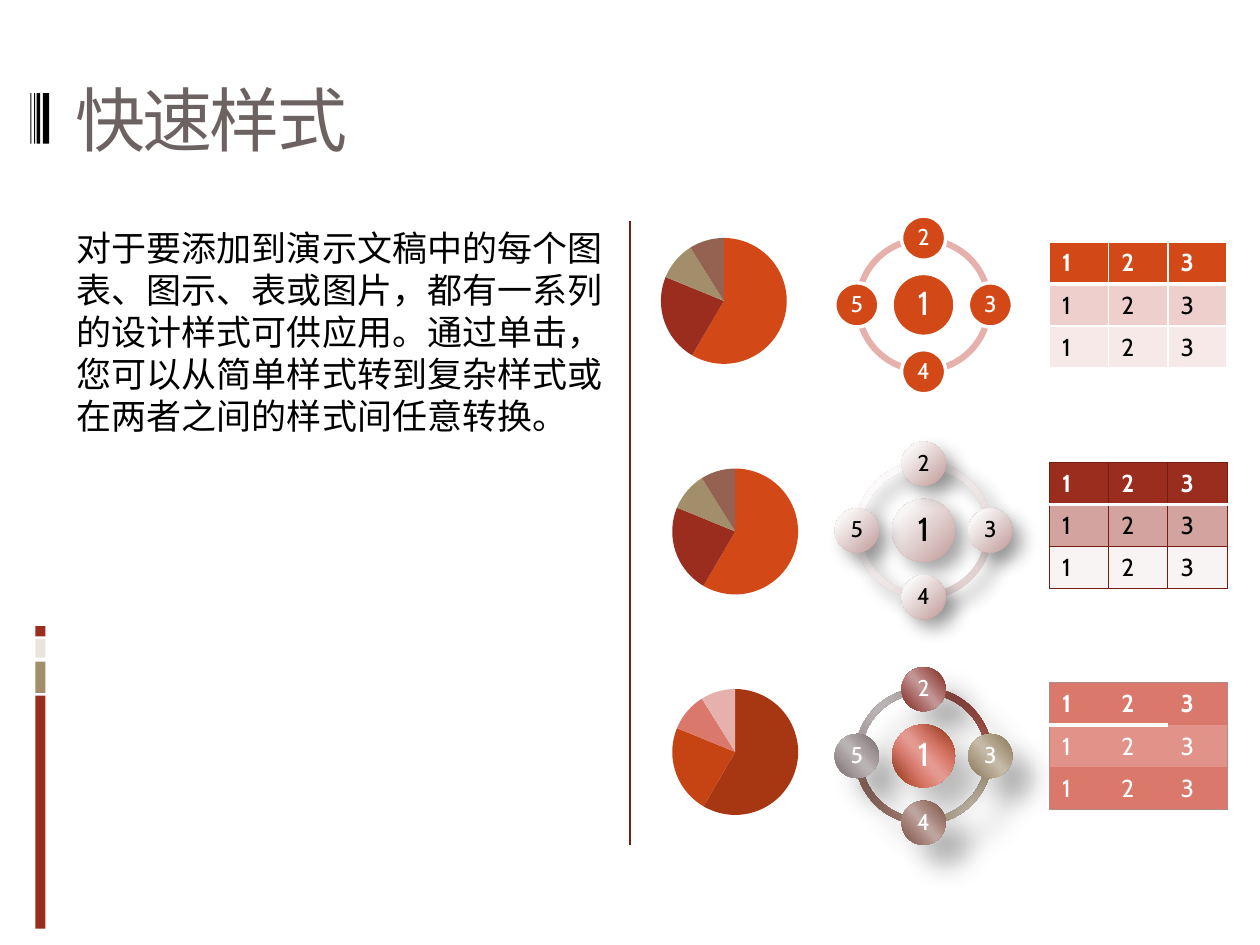
import math
from dataclasses import dataclass
from typing import Optional

import pptx
import pptx.chart.data
import pptx.dml.color
import pptx.enum.chart
import pptx.enum.shapes
import pptx.enum.text
import pptx.oxml
import pptx.oxml.ns
import pptx.util
from pptx.util import Inches

FONT = "Cabin"
SHAPE = pptx.enum.shapes.MSO_SHAPE
MIDDLE = pptx.enum.text.MSO_ANCHOR.MIDDLE
NS = pptx.oxml.ns.nsdecls("a")


@dataclass
class Gradient:
    stops: list[tuple[int, str]]
    angle: Optional[int] = None  # None means a circular path


@dataclass
class Shadow:
    alpha: int
    blur: float
    distance: float


@dataclass
class Cycle:
    """Fills run over nodes 1 to 5; the arcs run over nodes 2 to 5."""
    node_fills: list
    arc_fills: list
    text: str
    outline: Optional[str] = None
    shadow: Optional[Shadow] = None


@dataclass
class Grid:
    fills: tuple[str, str, str]
    body_text: str
    outer: tuple[str, float]
    inner: Optional[tuple[str, float]]
    header_rule: tuple[str, float]
    ruled_columns: int = 3


@dataclass
class Pie:
    left: float
    top: float
    width: float
    colours: tuple[str, str, str, str]


def rgb(colour: str) -> pptx.dml.color.RGBColor:
    return pptx.dml.color.RGBColor.from_string(colour)


def paint(shape, fill, shadow: Optional[Shadow] = None) -> None:
    shape.shadow.inherit = False
    shape.line.fill.background()
    if isinstance(fill, Gradient):
        shape.fill.gradient()
        gradient = shape._element.spPr.find(pptx.oxml.ns.qn("a:gradFill"))
        stops = "".join(f'<a:gs pos="{pos * 1000}"><a:srgbClr val="{colour}"/></a:gs>'
                        for pos, colour in fill.stops)
        direction = (f'<a:lin ang="{fill.angle * 60000}" scaled="0"/>' if fill.angle is not None else
                     '<a:path path="circle"><a:fillToRect l="-15000" t="-15000" '
                     'r="115000" b="115000"/></a:path>')
        gradient.getparent().replace(gradient, pptx.oxml.parse_xml(
            f'<a:gradFill {NS} rotWithShape="1"><a:gsLst>{stops}</a:gsLst>{direction}</a:gradFill>'))
    else:
        shape.fill.solid()
        shape.fill.fore_color.rgb = rgb(fill)
    if shadow:
        effects = shape._element.spPr.find(pptx.oxml.ns.qn("a:effectLst"))
        effects.append(pptx.oxml.parse_xml(
            f'<a:outerShdw {NS} blurRad="{pptx.util.Pt(shadow.blur)}" '
            f'dist="{pptx.util.Pt(shadow.distance)}" dir="2700000" algn="tl" rotWithShape="0">'
            f'<a:srgbClr val="000000"><a:alpha val="{shadow.alpha * 1000}"/></a:srgbClr></a:outerShdw>'))


def add_run(paragraph, text: str, size: float, colour: str, bold: bool = False):
    run = paragraph.add_run()
    run.text = text
    run.font.name, run.font.size, run.font.bold = FONT, pptx.util.Pt(size), bold
    run.font.color.rgb = rgb(colour)
    return run


def add_text(slide, box: tuple, text: str, size: float, colour: str):
    frame = slide.shapes.add_textbox(*map(Inches, box)).text_frame
    frame.word_wrap = True
    return frame, add_run(frame.paragraphs[0], text, size, colour)


def add_stripe(slide, left: float, top: float, width: float, height: float, colour: str) -> None:
    paint(slide.shapes.add_shape(SHAPE.RECTANGLE, *map(Inches, (left, top, width, height))), colour)


def add_cycle(slide, cycle: Cycle, centre_x: float, centre_y: float) -> None:
    """Draw a hub with four nodes joined by a ring of quarter arcs."""
    shapes = slide.shapes.add_group_shape().shapes

    def add_round(kind, x: float, y: float, size: float):
        return shapes.add_shape(kind, *map(Inches, (x - size / 2, y - size / 2, size, size)))

    for i, fill in reversed(list(enumerate(cycle.arc_fills))):
        arc = add_round(SHAPE.BLOCK_ARC, centre_x, centre_y, 1.09)
        start = (270 + 90 * i) % 360
        for k, value in enumerate((start * 0.6, (start + 90) % 360 * 0.6, 0.046)):
            arc.adjustments[k] = value
        paint(arc, fill, cycle.shadow)

    for i, fill in enumerate(cycle.node_fills):
        hub = i == 0
        orbit, turn = (0 if hub else 0.53), math.radians(90 * (i - 2))
        node = add_round(SHAPE.OVAL, centre_x + orbit * math.cos(turn),
                         centre_y + orbit * math.sin(turn), 0.5 if hub else 0.35)
        paint(node, fill, cycle.shadow)
        if cycle.outline:
            node.line.color.rgb = rgb(cycle.outline)
            node.line.width = pptx.util.Pt(2)
        frame = node.text_frame
        frame.vertical_anchor = MIDDLE
        frame.margin_left = frame.margin_right = Inches(0.03 if hub else 0.02)
        frame.margin_top = frame.margin_bottom = frame.margin_left
        label = frame.paragraphs[0]
        label.alignment = pptx.enum.text.PP_ALIGN.CENTER
        label.line_spacing = 0.9
        add_run(label, str(i + 1), 19 if hub else 13, cycle.text)


def set_border(cell, side: str, border: Optional[tuple[str, float]]) -> None:
    colour, width = border or ("", 0)
    fill = f'<a:solidFill><a:srgbClr val="{colour}"/></a:solidFill>' if border else "<a:noFill/>"
    cell._tc.get_or_add_tcPr().append(pptx.oxml.parse_xml(
        f'<a:ln{side} {NS} w="{pptx.util.Pt(width)}">{fill}</a:ln{side}>'))


def add_grid(slide, grid: Grid, top: float) -> None:
    table = slide.shapes.add_table(3, 3, *map(Inches, (8.33, top, 1.42, 1))).table
    table.first_row = table.horz_banding = False
    for column in table.columns:
        column.width = Inches(0.47)
    for r, fill in enumerate(grid.fills):
        for c in range(3):
            cell = table.cell(r, c)
            rule = grid.header_rule if c < grid.ruled_columns else grid.inner
            set_border(cell, "L", grid.inner if c else grid.outer)
            set_border(cell, "R", grid.inner if c < 2 else grid.outer)
            set_border(cell, "T", (grid.outer, rule, grid.inner)[r])
            set_border(cell, "B", (rule, grid.inner, grid.outer)[r])
            cell.fill.solid()
            cell.fill.fore_color.rgb = rgb(fill)
            add_run(cell.text_frame.paragraphs[0], str(c + 1), 14,
                    grid.body_text if r else "FFFFFF", bold=r == 0)


def add_pie(slide, pie: Pie) -> None:
    height = 1.28
    data = pptx.chart.data.CategoryChartData()
    data.categories = ["1", "2", "3", "4"]
    data.add_series("Series 1", (59, 23, 10, 9))
    chart = slide.shapes.add_chart(pptx.enum.chart.XL_CHART_TYPE.PIE, *map(
        Inches, (pie.left, pie.top, pie.width, height)), data).chart
    chart.has_legend = chart.has_title = False
    chart.font.name, chart.font.size = FONT, pptx.util.Pt(18)
    chart.font.color.rgb = rgb("000000")
    chart.plots[0].vary_by_categories = True
    for i, colour in enumerate(pie.colours):
        style = chart.plots[0].series[0].points[i].format
        style.fill.solid()
        style.fill.fore_color.rgb = rgb(colour)
        style.line.fill.background()
    plot_area = chart._chartSpace.chart.plotArea
    for layout in plot_area.findall(pptx.oxml.ns.qn("c:layout")):
        plot_area.remove(layout)
    w, h = 1 / pie.width, 1 / height
    plot_area.insert(0, pptx.oxml.parse_xml(
        f'<c:layout {pptx.oxml.ns.nsdecls("c")}><c:manualLayout><c:layoutTarget val="inner"/>'
        f'<c:xMode val="edge"/><c:yMode val="edge"/><c:x val="{(1 - w) / 2:.3f}"/>'
        f'<c:y val="{(1 - h) / 2:.3f}"/><c:w val="{w:.3f}"/><c:h val="{h:.3f}"/>'
        '</c:manualLayout></c:layout>'))


def metallic(dark: str, mid: str, light: str) -> Gradient:
    return Gradient([(0, dark), (33, mid), (47, light), (53, light), (68, mid), (100, dark)], 139)


STRIPES = [(0.28, 5.52, 0.08, 1.85, "9B2D1F"), (0.28, 5.25, 0.08, 0.25, "A28E6A"),
           (0.28, 5.07, 0.08, 0.15, "E9E5DC"), (0.28, 4.97, 0.08, 0.08, "9B2D1F")]
STRIPES += [(left, 0.74, width, 0.4, "000000")
            for left, width in ((0.34, 0.05), (0.29, 0.03), (0.27, 0.01), (0.24, 0.01))]
METALS = [metallic("7C2419", "AD706D", "C29594"), metallic("827255", "B2A48C", "C5B9A7"),
          metallic("774E41", "A9877E", "BEA49E"), metallic("746A6B", "A69C9D", "BAB3B4")]
CYCLES = [
    Cycle(["D34817"] * 5, ["E6B1AC"] * 4, "FFFFFF", outline="FFFFFF"),
    Cycle([Gradient([(20, "F8F5F5"), (100, "C09A98")])] * 5,
          [Gradient([(20, "FBF9F9"), (100, "DCCACA")])] * 4, "000000", shadow=Shadow(35, 10.2, 8)),
    Cycle([metallic("A93A12", "DA7A6C", "E59A91")] + METALS, METALS, "FFFFFF",
          shadow=Shadow(26, 15, 18))]
GRIDS = [
    Grid(("D34817", "EFCFCC", "F7E9E8"), "000000", ("FFFFFF", 1), ("FFFFFF", 1), ("FFFFFF", 3)),
    Grid(("9B2D1F", "D3A49F", "F8F4F3"), "000000", ("751D12", 0.75), ("751D12", 0.75), ("FFFFFF", 2)),
    Grid(("DA786B", "E19389", "DA786B"), "FFFFFF", ("AC8B88", 0.75), None, ("FFFFFF", 3), 2)]
THEME_COLOURS = ("D34817", "9B2D1F", "A28E6A", "956251")
PIES = [Pie(5.08, 1.75, 1.33, THEME_COLOURS), Pie(5.17, 3.58, 1.33, THEME_COLOURS),
        Pie(5, 5.33, 1.67, ("A63712", "C64314", "DA786B", "E6B1AC"))]


def main() -> None:
    deck = pptx.Presentation()
    deck.slide_width, deck.slide_height = Inches(10), Inches(7.5)
    slide = deck.slides.add_slide(deck.slide_layouts[6])
    for stripe in STRIPES:
        add_stripe(slide, *stripe)
    divider = slide.shapes.add_connector(pptx.enum.shapes.MSO_CONNECTOR.STRAIGHT,
                                         *map(Inches, (5, 1.75, 5, 6.71)))
    divider.line.color.rgb = rgb("751D12")
    divider.line.width = pptx.util.Pt(0.75)
    divider._element.spPr.append(pptx.oxml.parse_xml(f"<a:effectLst {NS}/>"))

    heading, heading_run = add_text(slide, (0.5, 0.23, 9, 1.42), "快速样式", 40, "6C6262")
    heading.vertical_anchor = MIDDLE
    heading_run._r.get_or_add_rPr().set("spc", "-150")
    description, _ = add_text(
        slide, (0.51, 1.75, 4.42, 4.95),
        "对于要添加到演示文稿中的每个图表、图示、表或图片，都有一系列的设计样式可供应用。"
        "通过单击，您可以从简单样式转到复杂样式或在两者之间的样式间任意转换。", 20, "000000")
    description.paragraphs[0].space_before = pptx.util.Pt(7)

    for i, (cycle, grid, pie) in enumerate(zip(CYCLES, GRIDS, PIES)):
        add_cycle(slide, cycle, 7.33, 2.42 + 1.79 * i)
        add_grid(slide, grid, 1.92 + 1.75 * i)
        add_pie(slide, pie)
    deck.save("out.pptx")


if __name__ == "__main__":
    main()
